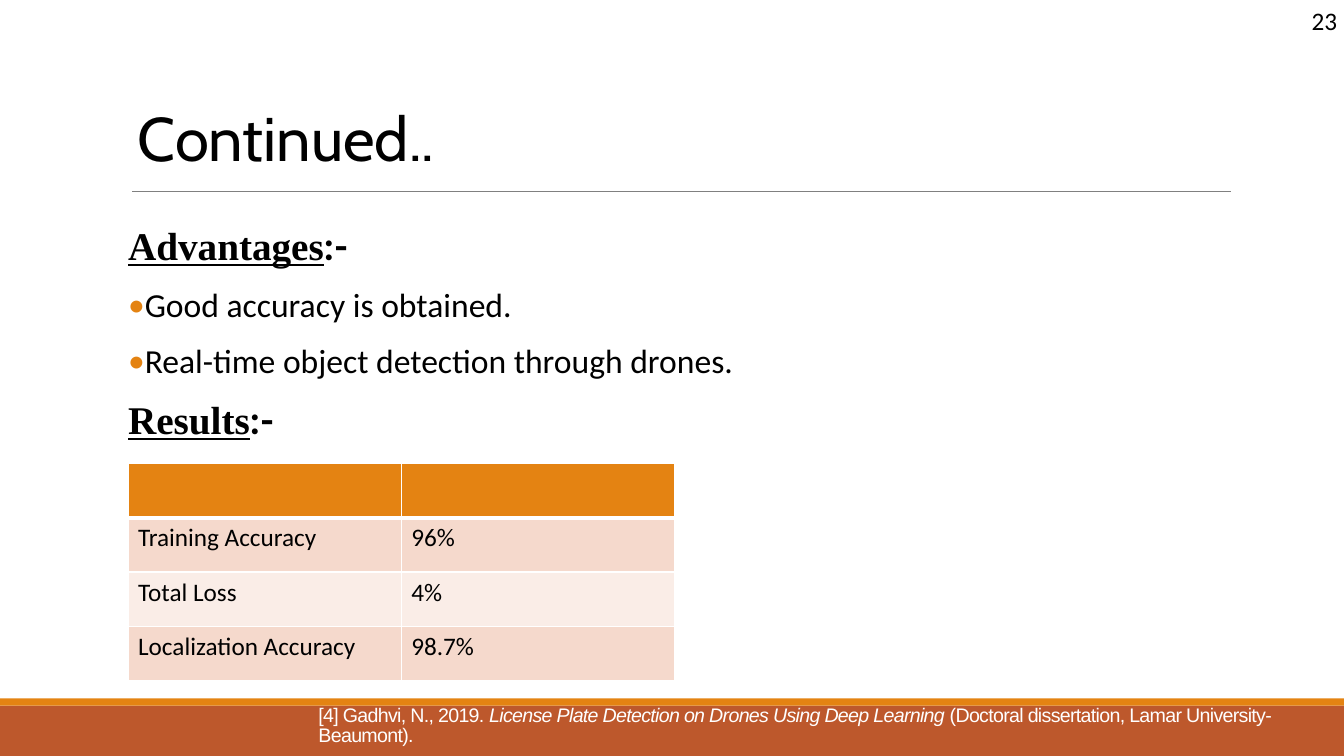
"""Build the slide with advantages, a results table and a cited reference."""
from dataclasses import dataclass, field
from typing import Any

from lxml.etree import SubElement
from pptx import Presentation
from pptx.dml.color import RGBColor
from pptx.enum.shapes import MSO_CONNECTOR, MSO_SHAPE
from pptx.enum.text import MSO_ANCHOR
from pptx.oxml.ns import qn
from pptx.util import Inches, Pt

COLORS = {
    "orange": "E48312", "rust": "BD582C", "gray": "808080", "black": "000000",
    "white": "FFFFFF", "band_dark": "F5D9CC", "band_light": "FAEDE7",
}
HEADING = {"name": "Times New Roman", "size": Pt(28), "bold": True, "underline": True}
HEADING_END = {"name": "Lato", "size": Pt(28), "bold": True}
BULLET = {"name": "Calibri", "size": Pt(24)}
SMALL = {"name": "Calibri", "size": Pt(18)}
TITLE = {"name": "Cabin", "size": Pt(44)}
REFERENCE = {"name": "Arial", "size": Pt(14)}
BODY_SPACING = {"line_spacing": 0.9, "space_before": Pt(12), "space_after": Pt(2)}


@dataclass
class TextRun:
    text: str
    font: dict[str, Any]
    color: str = "black"
    tracking: int = 0


@dataclass
class Line:
    runs: list[TextRun]
    spacing: dict[str, Any] = field(default_factory=dict)
    bullet: bool = False


@dataclass
class TextBox:
    box: tuple[float, float, float, float]
    lines: list[Line]
    frame: dict[str, Any] = field(default_factory=dict)


@dataclass
class Bar:
    top: float
    height: float
    color: str


def rgb(name: str) -> RGBColor:
    return RGBColor.from_string(COLORS[name])


def apply(target: Any, values: dict[str, Any]) -> None:
    for name, value in values.items():
        setattr(target, name, value)


def add_bullet(paragraph: Any) -> None:
    properties = paragraph._p.get_or_add_pPr()
    properties.set("marL", str(Inches(0.1)))
    properties.set("indent", str(Inches(-0.1)))
    color = SubElement(properties, qn("a:buClr"))
    SubElement(color, qn("a:srgbClr"), val=COLORS["orange"])
    SubElement(properties, qn("a:buFont"), typeface="Calibri")
    SubElement(properties, qn("a:buChar"), char="•")


def write_line(paragraph: Any, line: Line) -> None:
    apply(paragraph, line.spacing)
    if line.bullet:
        add_bullet(paragraph)
    for item in line.runs:
        run = paragraph.add_run()
        run.text = item.text
        apply(run.font, item.font)
        run.font.color.rgb = rgb(item.color)
        if item.tracking:
            run._r.get_or_add_rPr().set("spc", str(item.tracking))


def add_text(slide: Any, item: TextBox) -> None:
    frame = slide.shapes.add_textbox(*map(Inches, item.box)).text_frame
    apply(frame, {"word_wrap": True} | item.frame)
    for index, line in enumerate(item.lines):
        write_line(frame.add_paragraph() if index else frame.paragraphs[0], line)


def add_bar(slide: Any, bar: Bar) -> None:
    shape = slide.shapes.add_shape(
        MSO_SHAPE.RECTANGLE, 0, Inches(bar.top), Inches(13.33), Inches(bar.height))
    shape.shadow.inherit = False
    shape.fill.solid()
    shape.fill.fore_color.rgb = rgb(bar.color)
    shape.line.fill.background()


def add_title_rule(slide: Any) -> None:
    rule = slide.shapes.add_connector(
        MSO_CONNECTOR.STRAIGHT, Inches(1.31), Inches(1.9), Inches(12.21), Inches(1.9))
    rule.line.color.rgb = rgb("gray")
    rule.line.width = Pt(0.5)
    SubElement(rule._element.spPr, qn("a:effectLst"))


def style_cell(cell: Any, color: str, edges: dict[str, int]) -> None:
    properties = cell._tc.get_or_add_tcPr()
    for edge, width in edges.items():
        border = SubElement(properties, qn(f"a:{edge}"), w=str(Pt(width)))
        fill = SubElement(border, qn("a:solidFill"))
        SubElement(fill, qn("a:srgbClr"), val=COLORS["white"])
    cell.fill.solid()
    cell.fill.fore_color.rgb = rgb(color)


def add_results(slide: Any, rows: list[tuple[str, str]]) -> None:
    table = slide.shapes.add_table(
        len(rows), 2, Inches(1.27), Inches(4.6), Inches(5.42), Inches(2.15)).table
    apply(table, {"first_row": False, "horz_banding": False})
    for row_index, row in enumerate(rows):
        banded = "band_dark" if row_index % 2 else "band_light"
        color = banded if row_index else "orange"
        edges = {"lnL": 1, "lnR": 1, "lnT": 3 if row_index == 1 else 1,
                 "lnB": 1 if row_index else 3}
        for column_index, text in enumerate(row):
            cell = table.cell(row_index, column_index)
            style_cell(cell, color, edges)
            if text:
                write_line(cell.text_frame.paragraphs[0], Line([TextRun(text, SMALL)]))


def heading(text: str, spacing: dict[str, Any] = BODY_SPACING) -> Line:
    return Line([TextRun(text, HEADING), TextRun(":-", HEADING_END)], spacing)


def bullet(text: str) -> Line:
    return Line([TextRun(text, BULLET)], BODY_SPACING, True)


def citation(text: str, italic: bool = False) -> TextRun:
    return TextRun(text, REFERENCE | {"italic": italic}, "white", -50)


BARS = [Bar(7, 0.5, "rust"), Bar(6.93, 0.07, "orange")]
RESULTS = [("", ""), ("Training Accuracy", "96%"), ("Total Loss", "4%"),
           ("Localization Accuracy", "98.7%")]
BODY = TextBox((1.27, 1.45, 11.28, 5.5), [
    heading("Advantages", BODY_SPACING | {"space_before": Pt(0)}),
    bullet("Good accuracy is obtained."),
    bullet("Real-time object detection through drones."),
    heading("Results"),
], {"margin_left": 0, "margin_right": 0, "margin_top": Inches(0.8)})
CAPTIONS = [
    TextBox((3.06, 6.58, 10.38, 0.88), [Line([
        citation("[4] Gadhvi, N., 2019. "),
        citation("License Plate Detection on Drones Using Deep Learning", True),
        citation(" (Doctoral dissertation, Lamar University-Beaumont)."),
    ], {"line_spacing": 0.85})], {"vertical_anchor": MSO_ANCHOR.BOTTOM}),
    TextBox((1.27, 0.94, 4.54, 0.84), [Line([TextRun("Continued..", TITLE)])]),
    TextBox((12.91, 0, 0.46, 0.4), [Line([TextRun("23", SMALL)])],
            {"word_wrap": False}),
]


def main() -> None:
    presentation = Presentation()
    presentation.slide_width, presentation.slide_height = Inches(13.33), Inches(7.5)
    slide = presentation.slides.add_slide(presentation.slide_layouts[6])
    for bar in BARS:
        add_bar(slide, bar)
    add_title_rule(slide)
    add_text(slide, BODY)
    add_results(slide, RESULTS)
    for caption in CAPTIONS:
        add_text(slide, caption)
    presentation.save("out.pptx")


if __name__ == "__main__":
    main()
